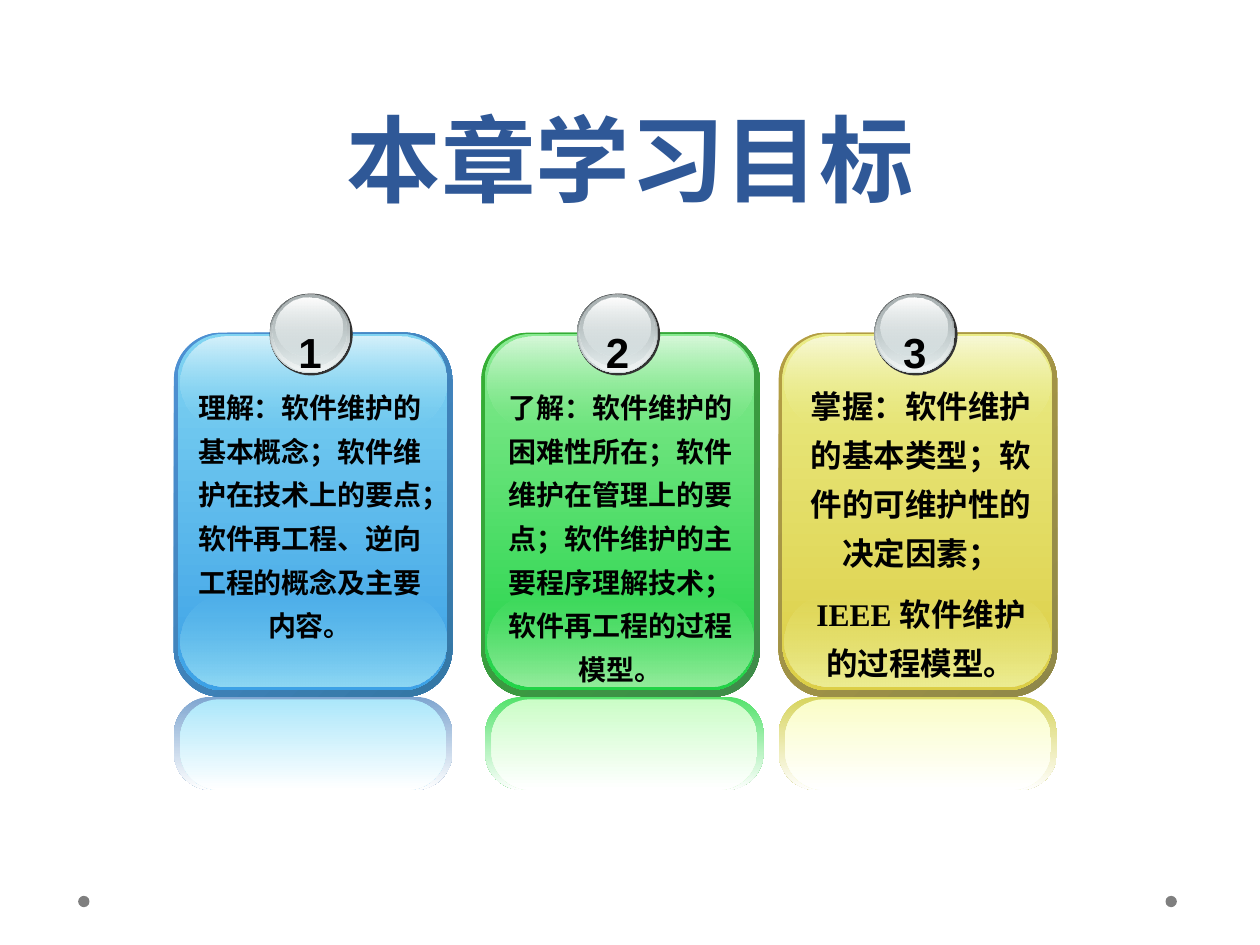
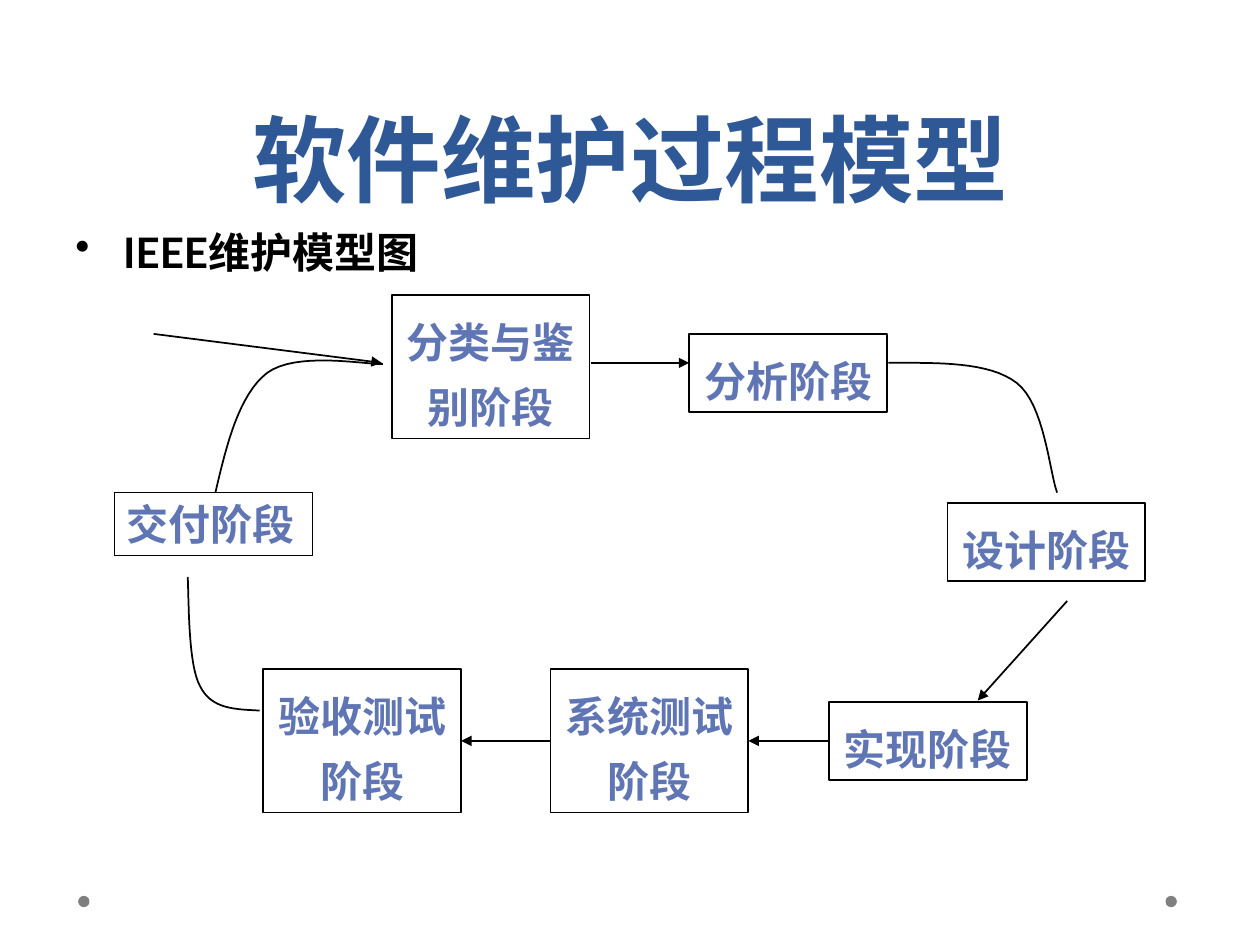
from dataclasses import dataclass

from lxml import etree
from pptx import Presentation
from pptx import util as u
from pptx.dml.color import RGBColor
from pptx.enum import shapes, text
from pptx.oxml.ns import qn

# Shared colours and fonts
BLACK = RGBColor(0x00, 0x00, 0x00)
WHITE = RGBColor(0xFF, 0xFF, 0xFF)
TITLE_BLUE = RGBColor(0x2F, 0x58, 0x97)
STAGE_BLUE = RGBColor(0x60, 0x76, 0xB4)
DOT_GREY = RGBColor(0x7F, 0x7F, 0x7F)
RIM = RGBColor(0x33, 0x33, 0x33)
STEEL = RGBColor(0x63, 0x68, 0x69)
SILVER = RGBColor(0xD6, 0xE1, 0xE2)
ASH = RGBColor(0xAA, 0xB2, 0xB3)
PEARL = RGBColor(0xF1, 0xF5, 0xF5)
TITLE_FONT, BODY_FONT, NUMBER_FONT = "Lato", "Times New Roman", "Arial"

# The slide is a grid of 10 columns and 7.5 rows
COLUMNS, ROWS = 10, 7.5
CELL = u.Inches(1)

RECTANGLE = shapes.MSO_SHAPE.RECTANGLE
ROUNDED = shapes.MSO_SHAPE.ROUNDED_RECTANGLE
ELLIPSE = shapes.MSO_SHAPE.OVAL
CENTER = text.PP_ALIGN.CENTER

TOP, LEFT, BOTTOM, RIGHT = range(4)


@dataclass
class Card:
    left: float
    rim: tuple
    body: tuple
    top_glow: RGBColor
    bottom_glow: RGBColor
    reflection: RGBColor
    reflection_glow: RGBColor
    reflection_shift: float
    text_box: tuple
    size: int
    paragraphs: tuple
    space_before: float = 0


CARDS = [
    Card(1.38, (RGBColor(0x4E, 0x91, 0xD4), RGBColor(0x34, 0x77, 0xA4)),
         (RGBColor(0x80, 0xD4, 0xF2), RGBColor(0x3C, 0xA1, 0xE6)),
         RGBColor(0xD5, 0xF1, 0xFB), RGBColor(0x8F, 0xD9, 0xF4),
         RGBColor(0x7E, 0xA5, 0xD0), RGBColor(0xAC, 0xE7, 0xFA), 0,
         (1.41, 2.97, 2.1, 2.18), 16,
         ("理解：软件维护的基本概念；软件维护在技术上的要点；"
          "软件再工程、逆向工程的概念及主要内容。",)),
    Card(3.82, (RGBColor(0x34, 0xB0, 0x34), RGBColor(0x3F, 0x8B, 0x4A)),
         (RGBColor(0x88, 0xEA, 0x91), RGBColor(0x21, 0xD3, 0x47)),
         RGBColor(0xD7, 0xF8, 0xDA), RGBColor(0x96, 0xED, 0x9E),
         RGBColor(0x52, 0xE2, 0x6A), RGBColor(0xCB, 0xFD, 0xC7), 0.03,
         (3.91, 2.97, 2.03, 2.53), 16,
         ("了解：软件维护的困难性所在；软件维护在管理上的要点；"
          "软件维护的主要程序理解技术；软件再工程的过程模型。",)),
    Card(6.18, (RGBColor(0xB5, 0x9F, 0x43), RGBColor(0x8F, 0x88, 0x49)),
         (RGBColor(0xEA, 0xEC, 0x86), RGBColor(0xDC, 0xCE, 0x46)),
         RGBColor(0xF8, 0xF9, 0xD7), RGBColor(0xED, 0xEE, 0x95),
         RGBColor(0xD7, 0xD4, 0x5D), RGBColor(0xFA, 0xFD, 0xC7), 0,
         (6.26, 2.93, 2.1, 2.54), 18,
         ("掌握：软件维护的基本类型；软件的可维护性的决定因素；",
          "IEEE 软件维护的过程模型。"), 6.8),
]

# Ball layers: offset from the ball's corner, size, two colours, end opacities
BALL_LAYERS = [
    (0, 0, 0.64, 0.63, (STEEL, SILVER), (100, 100)),
    (0.01, 0.01, 0.62, 0.61, (SILVER, PEARL), (0, 100)),
    (0.02, 0.01, 0.59, 0.57, (ASH, SILVER), (100, 48)),
    (0.05, 0.03, 0.53, 0.47, (WHITE, SILVER), (100, 38)),
]

# Stage boxes: left, top, height
STAGE_WIDTH = 1.57
STAGES = {
    "分类与鉴别阶段": (3.11, 2.34, 1.14),
    "分析阶段": (5.47, 2.65, 0.62),
    "设计阶段": (7.52, 3.99, 0.62),
    "实现阶段": (6.58, 5.57, 0.62),
    "系统测试阶段": (4.37, 5.31, 1.14),
    "验收测试阶段": (2.09, 5.31, 1.14),
}

# Curves: start point, then two cubic segments of three points each
CURVES = [
    [(7.05, 2.88), (7.45, 2.88), (7.85, 2.87), (8.07, 3.04),
     (8.29, 3.21), (8.33, 3.75), (8.39, 3.91)],
    [(2.06, 5.64), (1.87, 5.63), (1.68, 5.63), (1.59, 5.45),
     (1.49, 5.28), (1.5, 4.74), (1.49, 4.58)],
    [(1.71, 3.91), (1.8, 3.52), (1.9, 3.13), (2.12, 2.96),
     (2.35, 2.79), (2.88, 2.89), (3.04, 2.89)],
]


def grid(*lengths):
    return [round(length * CELL) for length in lengths]


def style(paragraph, font_name, size, color, align=CENTER, spacing=None):
    paragraph.alignment = align
    if spacing:
        paragraph.line_spacing = spacing
    font = paragraph.font
    font.name, font.size, font.bold = font_name, u.Pt(size), True
    font.color.rgb = color


def add_filled(slide, preset, box, color=None, radius=None):
    shape = slide.shapes.add_shape(preset, *grid(*box))
    shape.shadow.inherit = False
    shape.line.fill.background()
    if radius is not None:
        shape.adjustments[0] = radius
    if color is not None:
        shape.fill.solid()
        shape.fill.fore_color.rgb = color
    return shape


def add_gradient(slide, preset, box, colors, radius=None, opacity=(100, 100), angle=90):
    shape = add_filled(slide, preset, box, radius=radius)
    shape.fill.gradient()
    shape.fill.gradient_angle = 360 - angle
    for stop, color in zip(shape.fill.gradient_stops, colors):
        stop.color.rgb = color
    for color_element, percent in zip(shape._element.spPr.iter(qn("a:srgbClr")), opacity):
        if percent < 100:
            alpha = etree.SubElement(color_element, qn("a:alpha"))
            alpha.set("val", str(percent * 1000))


def add_text(slide, box, paragraphs, font_name, size, spacing=None,
             space_before=0, wrap=True, align=CENTER):
    frame = slide.shapes.add_textbox(*grid(*box)).text_frame
    frame.word_wrap = wrap
    frame.text = "\n".join(paragraphs)
    for index, paragraph in enumerate(frame.paragraphs):
        if index:
            paragraph.space_before = u.Pt(space_before)
        style(paragraph, font_name, size, BLACK, align, spacing)
    return frame


def add_titled_slide(presentation, title):
    slide = presentation.slides.add_slide(presentation.slide_layouts[5])
    # Footer dots
    for left in (9.25, 0.62):
        add_filled(slide, ELLIPSE, (left, 7.11, 0.09, 0.09), DOT_GREY)
    placeholder = slide.shapes.title
    placeholder.left, placeholder.top, placeholder.width, placeholder.height = grid(0.5, 0, 9, 1.75)
    frame = placeholder.text_frame
    frame.text = title
    frame.vertical_anchor = text.MSO_ANCHOR.BOTTOM
    style(frame.paragraphs[0], TITLE_FONT, 54, TITLE_BLUE, spacing=u.Pt(58))
    return slide


def add_ball(slide, left, top, number):
    add_filled(slide, ELLIPSE, (left, top, 0.66, 0.65), RIM)
    for dx, dy, width, height, colors, opacity in BALL_LAYERS:
        add_gradient(slide, ELLIPSE, (left + dx, top + dy, width, height), colors, opacity=opacity)
    add_text(slide, (left + 0.13, top + 0.09, 0.38, 0.62), [str(number)],
             NUMBER_FONT, 24, 1.3, wrap=False)


def add_card(slide, card, number):
    left, glow_left = card.left, card.left + 0.05
    shift = card.reflection_shift
    light = card.body[0]
    # Reflection under the card
    add_gradient(slide, ROUNDED, (left + shift, 5.53, 2.21, 0.74), (card.reflection, WHITE), 0.4)
    add_gradient(slide, ROUNDED, (glow_left + shift, 5.55, 2.11, 0.72),
                 (card.reflection_glow, WHITE), 0.43)
    # Rim, body and glows
    add_gradient(slide, ROUNDED, (left, 2.64, 2.21, 2.89), card.rim, 0.17, angle=45)
    add_gradient(slide, ROUNDED, (left + 0.03, 2.65, 2.14, 2.83), card.body, 0.17)
    add_gradient(slide, ROUNDED, (glow_left, 4.73, 2.11, 0.72),
                 (light, card.bottom_glow), 0.5, (0, 100))
    add_gradient(slide, ROUNDED, (glow_left, 2.67, 2.11, 0.72),
                 (card.top_glow, light), 0.5, (100, 0))
    add_ball(slide, left + 0.76, 2.33, number)
    add_text(slide, card.text_box, card.paragraphs, BODY_FONT, card.size, 1.3, card.space_before)


def add_stage(slide, label, left, top, height, align=CENTER, spacing=1.3):
    shape = slide.shapes.add_shape(RECTANGLE, *grid(left, top, STAGE_WIDTH, height))
    shape.shadow.inherit = False
    shape.fill.background()
    shape.line.color.rgb = BLACK
    shape.line.width = u.Pt(1)
    frame = shape.text_frame
    frame.word_wrap = True
    frame.vertical_anchor = text.MSO_ANCHOR.MIDDLE
    frame.text = label
    style(frame.paragraphs[0], BODY_FONT, 24, STAGE_BLUE, align, spacing)
    return shape


def add_arrow(slide, start, end):
    connector = slide.shapes.add_connector(shapes.MSO_CONNECTOR.STRAIGHT, *grid(*start, *end))
    connector.line.color.rgb = BLACK
    connector.line.width = u.Pt(1)
    etree.SubElement(connector.line._get_or_add_ln(), qn("a:tailEnd"), type="triangle")
    etree.SubElement(connector._element.spPr, qn("a:effectLst"))
    return connector


def join_stages(slide, source, target):
    arrow = add_arrow(slide, (0, 0), (1, 1))
    arrow.begin_connect(source, LEFT)
    arrow.end_connect(target, RIGHT)


def cubic(points, t):
    weights = ((1 - t) ** 3, 3 * t * (1 - t) ** 2, 3 * t ** 2 * (1 - t), t ** 3)
    return tuple(sum(w * point[axis] for w, point in zip(weights, points)) for axis in (0, 1))


def add_curve(slide, points, steps=16):
    samples = [cubic(points[first:first + 4], step / steps)
               for first in range(0, len(points) - 1, 3) for step in range(1, steps + 1)]
    builder = slide.shapes.build_freeform(*grid(*points[0]))
    builder.add_line_segments([grid(*sample) for sample in samples], close=False)
    curve = builder.convert_to_shape()
    curve.shadow.inherit = False
    curve.fill.background()
    curve.line.color.rgb = BLACK
    curve.line.width = u.Pt(1)


def add_bullet_line(slide, box, line):
    frame = add_text(slide, box, [line], TITLE_FONT, 24, align=text.PP_ALIGN.LEFT)
    properties = frame.paragraphs[0]._p.get_or_add_pPr()
    properties.set("marL", str(u.Inches(0.38)))
    properties.set("indent", str(-u.Inches(0.38)))
    bullet = etree.Element(qn("a:buChar"), char="•")
    properties.insert_element_before(bullet, "a:tabLst", "a:defRPr", "a:extLst")


def build_goals(presentation):
    slide = add_titled_slide(presentation, "本章学习目标")
    for number, card in enumerate(CARDS, 1):
        add_card(slide, card, number)


def build_process(presentation):
    slide = add_titled_slide(presentation, "软件维护过程模型")
    add_bullet_line(slide, (0.5, 1.75, 9, 0.55), "IEEE维护模型图")
    # Stages
    stages = {label: add_stage(slide, label, *place) for label, place in STAGES.items()}
    add_stage(slide, "交付阶段", 0.91, 3.91, 0.5, text.PP_ALIGN.LEFT, 1.0)
    # Flow between the stages
    join_stages(slide, stages["实现阶段"], stages["系统测试阶段"])
    join_stages(slide, stages["系统测试阶段"], stages["验收测试阶段"])
    add_arrow(slide, (4.69, 2.88), (5.47, 2.88))
    add_arrow(slide, (8.47, 4.77), (7.76, 5.56))
    add_arrow(slide, (1.22, 2.65), (3.03, 2.88))
    for points in CURVES:
        add_curve(slide, points)


def main():
    presentation = Presentation()
    presentation.slide_width, presentation.slide_height = grid(COLUMNS, ROWS)
    build_goals(presentation)
    build_process(presentation)
    presentation.save("out.pptx")


if __name__ == "__main__":
    main()
